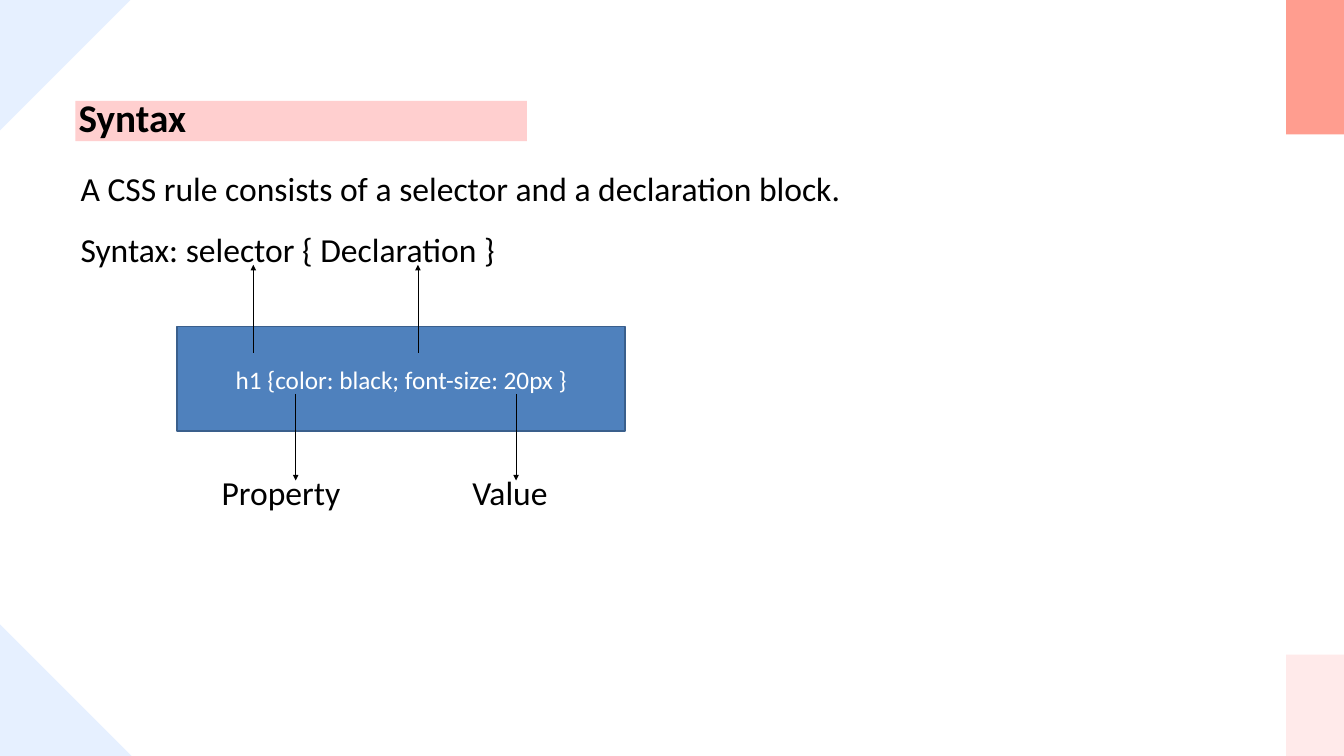
import pptx
import pptx.util
import pptx.dml.color
import pptx.enum.shapes
import pptx.enum.text
import pptx.oxml.ns
import lxml.etree

Inches, Pt = pptx.util.Inches, pptx.util.Pt
Shape = pptx.enum.shapes.MSO_SHAPE
Align, Anchor = pptx.enum.text.PP_ALIGN, pptx.enum.text.MSO_ANCHOR
FONT = "Calibri"
COLORS = {
    "coral": "FF9D8F", "blush": "FFEAEA", "sky": "E6F0FF", "pink": "FFCFCF",
    "blue": "4F81BD", "navy": "3A5F8C", "black": "000000", "white": "FFFFFF",
}


def color(name):
    return pptx.dml.color.RGBColor.from_string(COLORS[name])


def add_block(slide, kind, left, top, width, height, fill):
    """Add a filled shape without outline or shadow."""
    block = slide.shapes.add_shape(
        kind, Inches(left), Inches(top), Inches(width), Inches(height))
    block.shadow.inherit = False
    block.fill.solid()
    block.fill.fore_color.rgb = color(fill)
    block.line.fill.background()
    return block


def style_text(frame, size, ink="black", bold=False, align=Align.LEFT, spacing=1.0):
    for para in frame.paragraphs:
        para.alignment = align
        para.line_spacing = spacing
        for run in para.runs:
            run.font.name = FONT
            run.font.size = Pt(size)
            run.font.bold = bold
            run.font.color.rgb = color(ink)


def add_text(slide, left, top, width, height, text, spacing=1.0):
    box = slide.shapes.add_textbox(
        Inches(left), Inches(top), Inches(width), Inches(height))
    box.text_frame.word_wrap = True
    box.text_frame.text = text
    style_text(box.text_frame, 36, spacing=spacing)


def add_arrow(slide, x, start, end):
    """Add a vertical arrow that points at the end height."""
    arrow = slide.shapes.add_connector(
        pptx.enum.shapes.MSO_CONNECTOR.STRAIGHT,
        Inches(x), Inches(start), Inches(x), Inches(end))
    arrow.line.color.rgb = color("black")
    arrow.line.width = Pt(0.75)
    qn = pptx.oxml.ns.qn
    line = arrow.line._get_or_add_ln()
    lxml.etree.SubElement(line, qn("a:tailEnd"), type="triangle")
    lxml.etree.SubElement(arrow._element.spPr, qn("a:effectLst"))


def add_title(slide, text):
    title = slide.shapes.title
    title.left, title.top = Inches(1.07), Inches(1.34)
    title.width, title.height = Inches(10.77), Inches(0.81)
    title.text_frame.text = text
    title.text_frame.vertical_anchor = Anchor.TOP
    style_text(title.text_frame, 42, bold=True)
    # Bring the title in front of its bar
    slide.shapes._spTree.append(title._element)


def add_rule(slide, text):
    box = add_block(slide, Shape.RECTANGLE, 2.64, 4.86, 6.66, 1.56, "blue")
    box.line.color.rgb = color("navy")
    box.line.width = Pt(2)
    box.text_frame.text = text
    box.text_frame.vertical_anchor = Anchor.MIDDLE
    style_text(box.text_frame, 27, "white", align=Align.CENTER)


def main():
    deck = pptx.Presentation()
    deck.slide_width, deck.slide_height = Inches(20), Inches(11.25)
    slide = deck.slides.add_slide(deck.slide_layouts[5])

    # Side bars and corner triangles
    add_block(slide, Shape.RECTANGLE, 19.14, 0, 0.86, 2, "coral")
    add_block(slide, Shape.RECTANGLE, 19.14, 9.74, 0.86, 1.51, "blush")
    add_block(slide, Shape.RIGHT_TRIANGLE, 0, 9.29, 1.96, 1.96, "sky")
    corner = add_block(slide, Shape.RIGHT_TRIANGLE, -0.02, 0, 1.96, 1.96, "sky")
    corner.rotation = 90

    # Title on its bar
    add_block(slide, Shape.RECTANGLE, 1.12, 1.5, 6.72, 0.6, "pink")
    add_title(slide, "Syntax")

    # Explanation
    add_text(slide, 1.1, 2.15, 13.17, 1.93,
             "A CSS rule consists of a selector and a declaration block.\n"
             "Syntax: selector { Declaration }", spacing=1.5)

    # Sample rule with labels and arrows
    for left, label in ((3.2, "Property"), (6.93, "Value")):
        add_text(slide, left, 6.97, 2.4, 0.71, label)
    add_rule(slide, "h1 {color: black; font-size: 20px }")
    for x in (3.77, 6.22):
        add_arrow(slide, x, 5.25, 3.94)
    for x in (4.4, 7.68):
        add_arrow(slide, x, 5.86, 7.15)

    deck.save("out.pptx")


if __name__ == "__main__":
    main()
